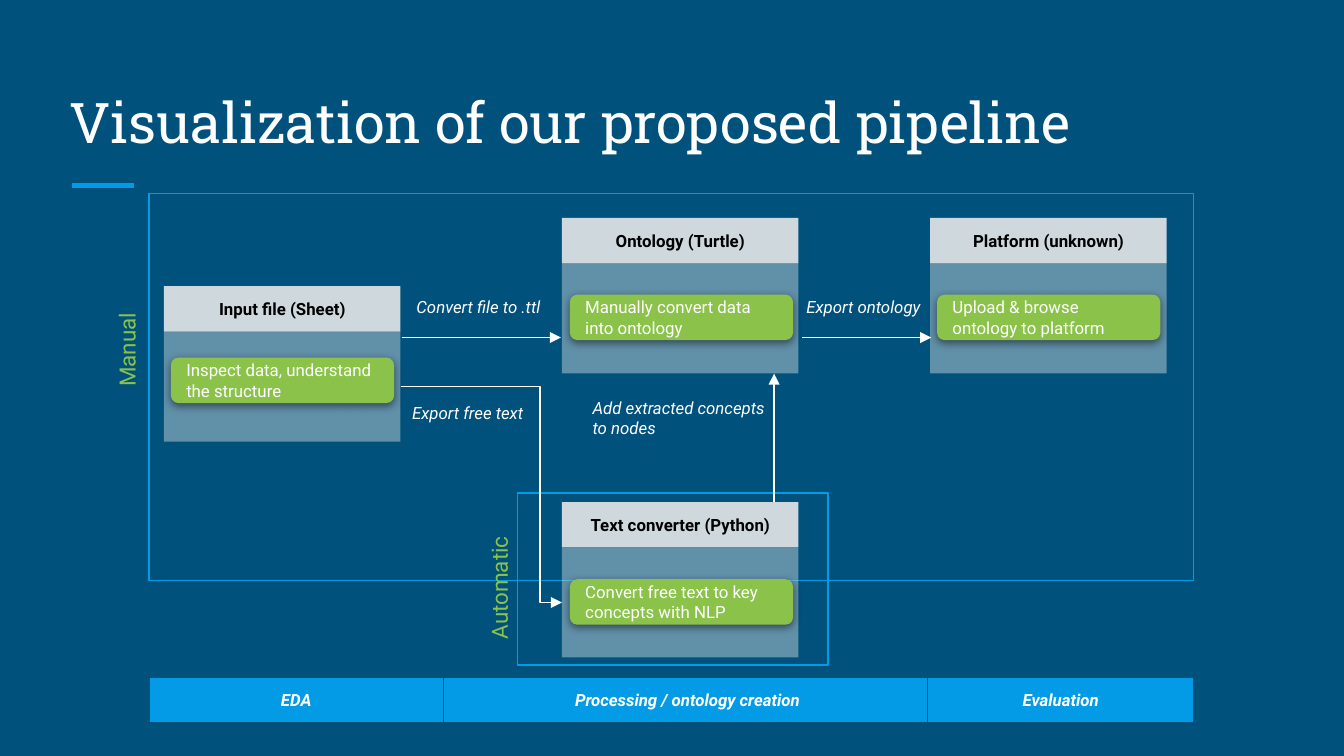
from lxml import etree
from pptx import Presentation
from pptx.dml.color import RGBColor
from pptx.enum.shapes import MSO_CONNECTOR, MSO_SHAPE
from pptx.enum.text import MSO_ANCHOR, PP_ALIGN
from pptx.oxml.ns import qn
from pptx.util import Cm, Pt

RECT, ROUNDED = MSO_SHAPE.RECTANGLE, MSO_SHAPE.ROUNDED_RECTANGLE
STRAIGHT, ELBOW = MSO_CONNECTOR.STRAIGHT, MSO_CONNECTOR.ELBOW
LEFT, CENTER = PP_ALIGN.LEFT, PP_ALIGN.CENTER
TOP, MIDDLE, BOTTOM = MSO_ANCHOR.TOP, MSO_ANCHOR.MIDDLE, MSO_ANCHOR.BOTTOM
NAVY, BLUE, GREY, GREEN, WHITE, BLACK = (
    "00517C", "039BE5", "CFD8DC", "8BC34A", "FFFFFF", "000000")
ROW = 0.86
CARD_WIDTH = 4.47
color = RGBColor.from_string

prs = Presentation()
prs.slide_width, prs.slide_height = Cm(25.4), Cm(14.29)
slide = prs.slides.add_slide(prs.slide_layouts[6])
slide.background.fill.solid()
slide.background.fill.fore_color.rgb = color(NAVY)


def add_box(kind, bounds, fill=None, line=None):
    box = slide.shapes.add_shape(kind, *map(Cm, bounds))
    box.shadow.inherit = False
    if fill:
        box.fill.solid()
        box.fill.fore_color.rgb = color(fill)
    else:
        box.fill.background()
    if line:
        box.line.color.rgb = color(line)
        box.line.width = Pt(0.75)
    else:
        box.line.fill.background()
    return box


def set_text(box, text, size=9, ink=WHITE, bold=False, italic=False,
             align=LEFT, anchor=MIDDLE, typeface="Roboto"):
    frame = box.text_frame
    frame.text = text
    frame.word_wrap = True
    frame.vertical_anchor = anchor
    frame.margin_left = frame.margin_right = Cm(0.25)
    frame.margin_top = frame.margin_bottom = Cm(0.25)
    frame.paragraphs[0].alignment = align
    font = frame.paragraphs[0].runs[0].font
    font.name, font.size = typeface, Pt(size)
    font.bold, font.italic = bold, italic
    font.color.rgb = color(ink)


# Title
title = slide.shapes.add_textbox(Cm(1.07), Cm(1.27), Cm(23.24), Cm(1.9))
set_text(title, "Visualization of our proposed pipeline", size=30,
         anchor=BOTTOM, typeface="Roboto Slab")

# Frames around the manual and automatic parts
for bounds in [(2.82, 3.66, 19.74, 7.32), (9.78, 9.32, 5.87, 3.25)]:
    add_box(RECT, bounds, line=BLUE)

# Cards: heading, translucent body and green step
cards = [
    ("Input file (Sheet)", 3.1, 5.41,
     "Inspect data, understand the structure", 3.23, 6.76),
    ("Text converter (Python)", 10.62, 9.49,
     "Convert free text to key concepts with NLP", 10.77, 10.95),
    ("Ontology (Turtle)", 10.62, 4.12,
     "Manually convert data into ontology", 10.77, 5.57),
    ("Platform (unknown)", 17.58, 4.12,
     "Upload & browse ontology to platform", 17.71, 5.57),
]
bodies = []
for heading, left, top, step, step_left, step_top in cards:
    body = add_box(RECT, (left, top + ROW, CARD_WIDTH, 2.08), GREY)
    tint = body.fill._xPr.find(".//" + qn("a:srgbClr"))
    etree.SubElement(tint, qn("a:alpha"), val="47000")
    bodies.append(body)

    header = add_box(RECT, (left, top, CARD_WIDTH, ROW), GREY)
    set_text(header, heading, ink=BLACK, bold=True, align=CENTER)

    pill = add_box(ROUNDED, (step_left, step_top, 4.22, ROW), GREEN)
    set_text(pill, step)
    effects = pill._element.spPr.find(qn("a:effectLst"))
    shadow = etree.SubElement(
        effects, qn("a:outerShdw"), blurRad=str(Pt(4.5)), dist=str(Pt(1.5)),
        dir="5400000", algn="bl", rotWithShape="0")
    shade = etree.SubElement(shadow, qn("a:srgbClr"), val=BLACK)
    etree.SubElement(shade, qn("a:alpha"), val="50000")
input_body, converter_body = bodies[:2]

# Arrow captions
for caption, left, top, width in [
    ("Convert file to .ttl", 7.62, 5.41, 2.97),
    ("Export free text", 7.54, 7.42, 2.67),
    ("Add extracted concepts to nodes", 10.95, 7.26, 3.91),
    ("Export ontology", 14.99, 5.41, 2.97),
]:
    label = slide.shapes.add_textbox(Cm(left), Cm(top), Cm(width), Cm(ROW))
    set_text(label, caption, italic=True, anchor=TOP)

# Vertical frame names
for name, *bounds in [("Manual", 1.04, 6.02, 2.39, 0.69),
                      ("Automatic", 7.95, 10.34, 2.97, 1.02)]:
    label = slide.shapes.add_textbox(*map(Cm, bounds))
    label.rotation = 270
    set_text(label, name, size=12, ink=GREEN, anchor=TOP)

# Title accent and arrows
for kind, ends, ink, weight, arrow in [
    (STRAIGHT, (1.37, 3.51, 2.54, 3.51), BLUE, 3, False),
    (STRAIGHT, (7.59, 6.38, 10.6, 6.38), WHITE, 0.75, True),
    (STRAIGHT, (15.16, 6.38, 17.6, 6.38), WHITE, 0.75, True),
    (STRAIGHT, (14.63, 9.49, 14.63, 7.06), WHITE, 0.75, True),
    (ELBOW, (7.57, 7.31, 10.62, 11.39), WHITE, 0.75, True),
]:
    link = slide.shapes.add_connector(kind, *map(Cm, ends))
    link.line.color.rgb = color(ink)
    link.line.width = Pt(weight)
    properties = link._element.spPr
    if arrow:
        etree.SubElement(properties.find(qn("a:ln")), qn("a:tailEnd"),
                         type="triangle")
    etree.SubElement(properties, qn("a:effectLst"))
    if kind == ELBOW:
        link.begin_connect(input_body, 3)
        link.end_connect(converter_body, 1)
        bend = properties.find(".//" + qn("a:avLst"))
        etree.SubElement(bend, qn("a:gd"), name="adj1", fmla="val 86400")

# Phase bar
for phase, left, width in [("EDA", 2.82, 5.56),
                           ("Processing / ontology creation", 8.38, 9.22),
                           ("Evaluation", 17.53, 5.03)]:
    segment = add_box(RECT, (left, 12.8, width, ROW), BLUE, NAVY)
    set_text(segment, phase, bold=True, italic=True, align=CENTER)

prs.save("out.pptx")
